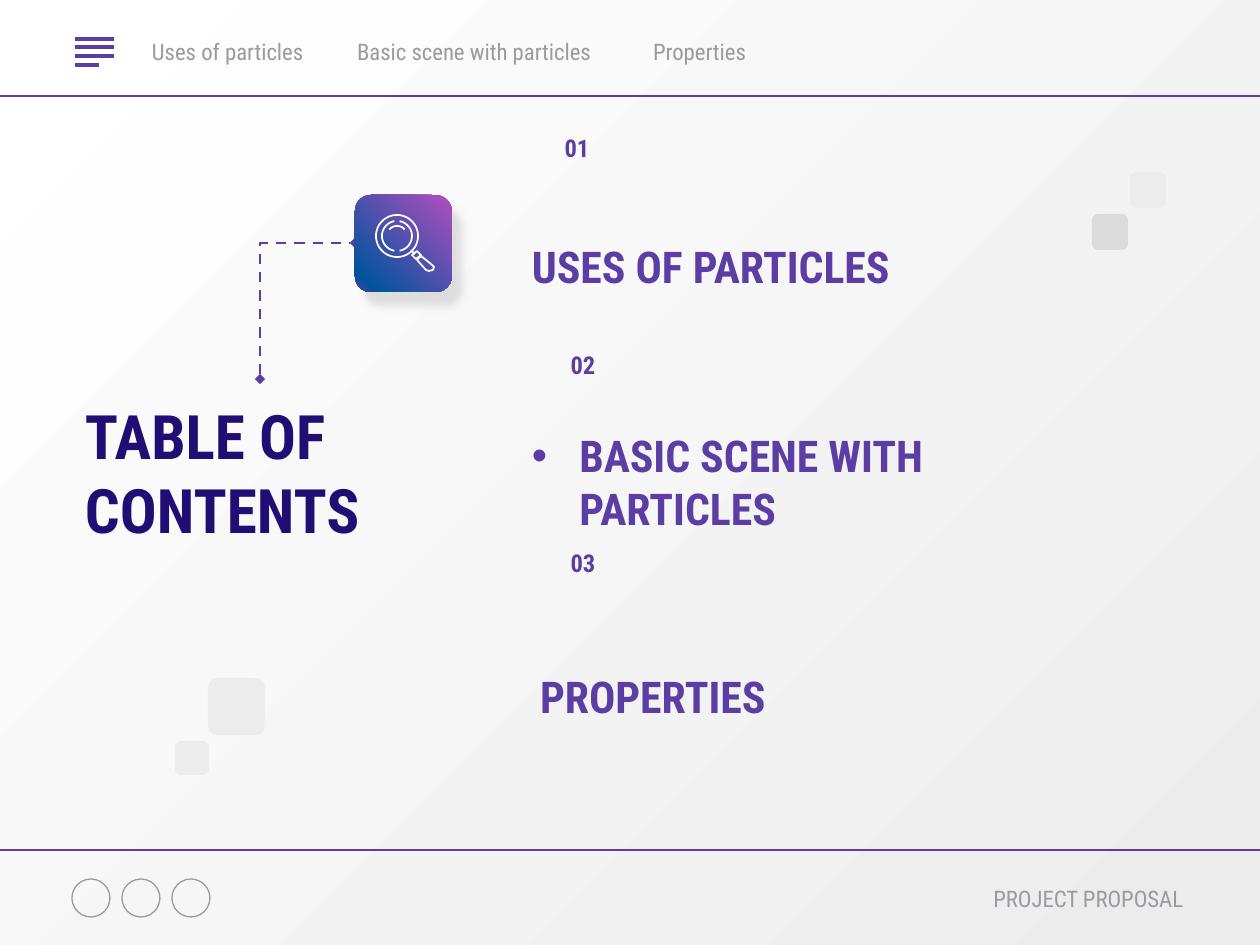
import math
from dataclasses import dataclass

from lxml import etree
from pptx import Presentation
from pptx.dml.color import RGBColor
from pptx.enum.dml import MSO_LINE
from pptx.enum.shapes import MSO_CONNECTOR, MSO_SHAPE
from pptx.enum.text import MSO_ANCHOR, MSO_AUTO_SIZE, PP_ALIGN
from pptx.oxml.ns import qn
from pptx.util import Pt

EMU_PER_PX = 914400 / 126
COMPARISON_LAYOUT = 4
ROUNDED, OVAL = MSO_SHAPE.ROUNDED_RECTANGLE, MSO_SHAPE.OVAL
STRAIGHT, ELBOW = MSO_CONNECTOR.STRAIGHT, MSO_CONNECTOR.ELBOW
LEFT, CENTER, RIGHT = PP_ALIGN.LEFT, PP_ALIGN.CENTER, PP_ALIGN.RIGHT
TOP, MIDDLE = MSO_ANCHOR.TOP, MSO_ANCHOR.MIDDLE
DASH = MSO_LINE.DASH


@dataclass(frozen=True)
class Theme:
    font: str = "Roboto Condensed"
    accent: str = "5C3DA4"
    title: str = "200E74"
    muted: str = "9A9AA0"
    pale: str = "ECECEC"
    grey: str = "DBDBDB"
    white: str = "FFFFFF"
    shadow: str = "CCCCCC"
    icon_stops: tuple = ((0, "B24EBE"), (89, "01539D"), (100, "5C3DA4"))
    title_size: int = 35
    heading_size: int = 25
    number_size: int = 14
    small_size: int = 13


THEME = Theme()


def px(length):
    return round(length * EMU_PER_PX)


def color(value):
    return RGBColor.from_string(value)


def add_xml(parent, tag, **attributes):
    return etree.SubElement(parent, qn(tag), {key: str(value) for key, value in attributes.items()})


def set_gradient(fill, element, stops, angle):
    """Fill with (percent, colour) stops; the angle runs counter-clockwise."""
    fill.gradient()
    fill.gradient_angle = angle
    stop_list = element.find(".//" + qn("a:gsLst"))
    for stop in list(stop_list):
        stop_list.remove(stop)
    for percent, value in stops:
        add_xml(add_xml(stop_list, "a:gs", pos=percent * 1000), "a:srgbClr", val=value)


def set_text(shape, text, size, value, bold=False, align=LEFT, anchor=MIDDLE, inset=13):
    frame = shape.text_frame
    frame.text = text
    frame.word_wrap = True
    frame.auto_size = MSO_AUTO_SIZE.NONE
    frame.vertical_anchor = anchor
    frame.margin_left = frame.margin_right = px(13)
    frame.margin_top = frame.margin_bottom = px(inset)
    paragraph = frame.paragraphs[0]
    paragraph.alignment = align
    paragraph.space_before = Pt(0)
    font = paragraph.font
    font.name, font.size, font.bold = THEME.font, Pt(size), bold
    font.color.rgb = color(value)


def add_text(slide, box, text, size, value, **style):
    set_text(slide.shapes.add_textbox(*map(px, box)), text, size, value, **style)


def fill_placeholder(placeholder, box, text, size, value):
    placeholder.left, placeholder.top, placeholder.width, placeholder.height = map(px, box)
    properties = placeholder.text_frame.paragraphs[0]._p.get_or_add_pPr()
    properties.set("marL", "0")
    properties.set("indent", "0")
    add_xml(properties, "a:buNone")
    set_text(placeholder, text, size, value, bold=True)


def add_line(slide, start, end, width, kind=STRAIGHT):
    line = slide.shapes.add_connector(kind, *map(px, start + end))
    line.line.color.rgb = color(THEME.accent)
    line.line.width = Pt(width)
    add_xml(line._element.spPr, "a:effectLst")
    return line


def add_square(slide, left, top, side, value):
    square = slide.shapes.add_shape(ROUNDED, px(left), px(top), px(side), px(side))
    square.shadow.inherit = False
    square.fill.solid()
    square.fill.fore_color.rgb = color(value)
    square.line.fill.background()
    return square


def outline(shape, value, width):
    shape.shadow.inherit = False
    shape.fill.background()
    shape.line.color.rgb = color(value)
    shape.line.width = Pt(width)


def add_circle(slide, left, top, size, value):
    circle = slide.shapes.add_shape(OVAL, px(left), px(top), px(size), px(size))
    outline(circle, value, 0.75)


def add_stroke(slide, points, closed=False):
    start, *rest = [(px(x), px(y)) for x, y in points]
    builder = slide.shapes.build_freeform(*start)
    builder.add_line_segments(rest, close=closed)
    outline(builder.convert_to_shape(), THEME.white, 1)


def arc(center, radius, first, last):
    """Points every five degrees, clockwise from the right."""
    return [(center[0] + radius * math.cos(math.radians(degrees)),
             center[1] + radius * math.sin(math.radians(degrees)))
            for degrees in range(first, last + 1, 5)]


def add_magnifier(slide):
    lens = (397, 236)
    for radius, first, last in ((21, 0, 355), (15, 100, 260), (15, -80, 80), (10, 220, 320)):
        add_stroke(slide, arc(lens, radius, first, last), closed=radius == 21)
    add_stroke(slide, [(411, 250), (415, 254)])
    collar = [(417, 251), (421, 255), (416, 259), (412, 255)]
    grip = [(421, 256), (431, 264), (434, 267), (433, 270), (429, 271), (426, 270), (417, 260)]
    for points in (collar, grip):
        add_stroke(slide, points, closed=True)


def add_icon(slide):
    icon = add_square(slide, 355, 195, 97, THEME.white)
    set_gradient(icon.fill, icon._element, THEME.icon_stops, 225)
    effects = icon._element.spPr.find(qn("a:effectLst"))
    shadow = add_xml(effects, "a:outerShdw", blurRad=Pt(4.5), dist=Pt(9.8),
                     dir=55 * 60000, algn="bl", rotWithShape=0)
    add_xml(add_xml(shadow, "a:srgbClr", val=THEME.shadow), "a:alpha", val=60000)
    add_magnifier(slide)
    return icon


def add_dashed_link(slide, title, icon):
    """One bend: up from the title, then right to the icon."""
    start, end = (260, 379), (355, 243)
    link = add_line(slide, start, end, 1.5, ELBOW)
    link.begin_connect(title, 0)
    link.end_connect(icon, 1)
    rise, run = start[1] - end[1], end[0] - start[0]
    transform = link._element.spPr.xfrm
    transform.attrib.clear()
    transform.set("rot", str(270 * 60000))
    link.left, link.top = px((start[0] + end[0] - rise) / 2), px((start[1] + end[1] - run) / 2)
    link.width, link.height = px(rise), px(run)
    link._element.spPr.find(qn("a:prstGeom")).set("prst", "bentConnector2")
    link.line.dash_style = DASH
    for tag in ("a:headEnd", "a:tailEnd"):
        add_xml(link.line._get_or_add_ln(), tag, type="diamond")
    icon._element.addprevious(link._element)


def add_header_and_footer(slide):
    for y in (96, 850):
        add_line(slide, (-6, y), (1266, y), 0.75)
    # Menu button and navigation
    for row, right in enumerate((114, 114, 114, 99)):
        y = 39 + row * 26 // 3
        add_line(slide, (75, y), (right, y), 2.25)
    for left, width, label in ((139, 205, "Uses of particles"),
                               (344, 296, "Basic scene with particles"),
                               (640, 397, "Properties")):
        add_text(slide, (left, 24, width, 55), label, THEME.small_size, THEME.muted)
    # Plain badges and footer label
    for column in range(3):
        add_circle(slide, 72 + 50 * column, 879, 38, THEME.muted)
    add_text(slide, (881, 871, 315, 55), "PROJECT PROPOSAL", THEME.small_size, THEME.muted,
             align=RIGHT)


def add_contents(slide):
    sections = (("01", (527, 127, 100, 90), "USES OF PARTICLES", (519, 229, 479, 73)),
                ("02", (527, 344, 112, 90), "BASIC SCENE WITH PARTICLES", (519, 445, 599, 73)),
                ("03", (527, 542, 112, 90), "PROPERTIES", (527, 659, 682, 73)))
    for index, (number, number_box, heading, heading_box) in enumerate(sections, 1):
        fill_placeholder(slide.placeholders[index], heading_box, heading,
                         THEME.heading_size, THEME.accent)
        add_text(slide, number_box, number, THEME.number_size, THEME.accent,
                 bold=True, align=CENTER, anchor=TOP, inset=6)


def main():
    presentation = Presentation()
    presentation.slide_width, presentation.slide_height = px(1260), px(945)
    slide = presentation.slides.add_slide(presentation.slide_layouts[COMPARISON_LAYOUT])
    set_gradient(slide.background.fill, slide.element,
                 ((0, THEME.white), (100, THEME.pale)), 315)
    unused = slide.placeholders[4]._element
    unused.getparent().remove(unused)

    add_header_and_footer(slide)
    # Title with its linked icon
    title = slide.shapes.title
    fill_placeholder(title, (72, 379, 375, 186), "TABLE OF CONTENTS",
                     THEME.title_size, THEME.title)
    add_dashed_link(slide, title, add_icon(slide))
    add_contents(slide)
    # Decorative squares
    for left, top, side, value in ((1092, 214, 36, THEME.grey), (1130, 172, 36, THEME.pale),
                                   (208, 678, 57, THEME.pale), (175, 741, 34, THEME.pale)):
        add_square(slide, left, top, side, value)
    presentation.save("out.pptx")


if __name__ == "__main__":
    main()
